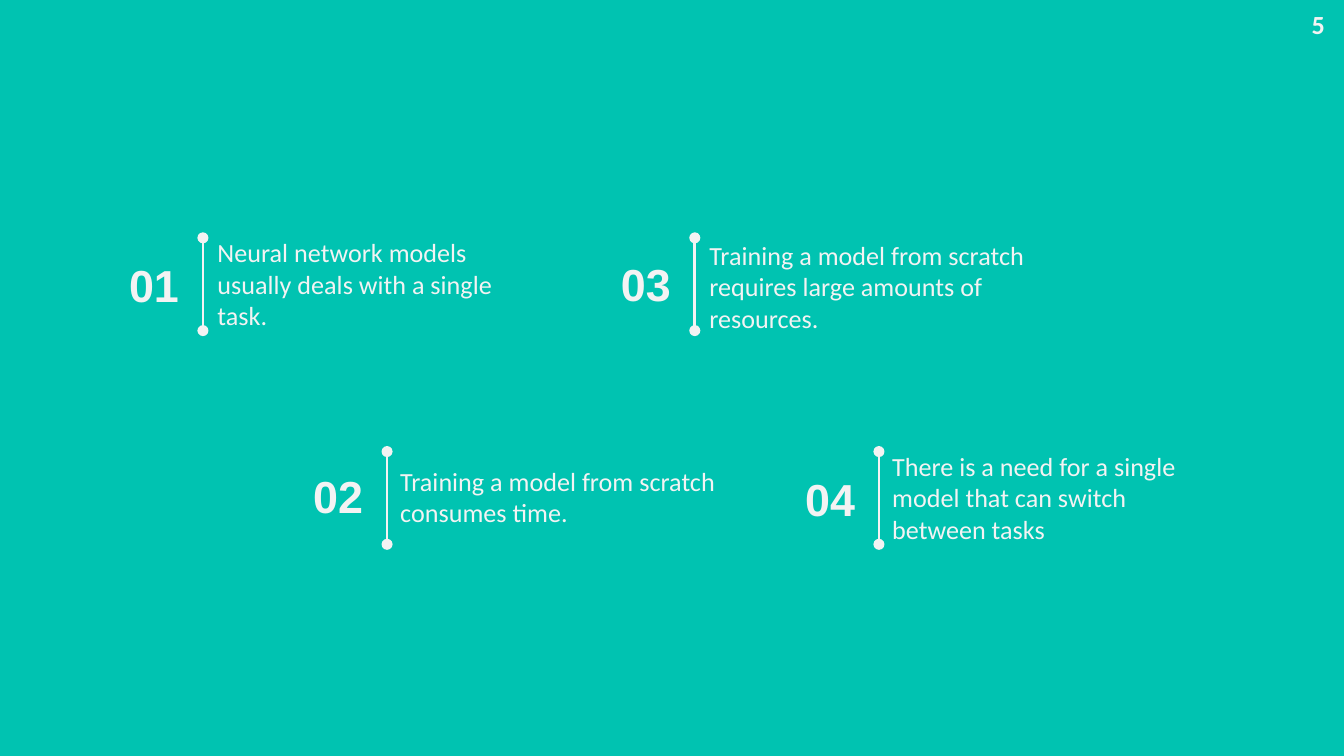
"""Build a slide of four numbered points set in two staggered rows."""
from dataclasses import dataclass

from lxml import etree
from pptx import Presentation
from pptx.dml.color import RGBColor
from pptx.enum import shapes, text
from pptx.oxml import ns
from pptx.util import Inches, Pt


@dataclass(frozen=True)
class Theme:
    back: RGBColor = RGBColor.from_string("00C3B1")
    ink: RGBColor = RGBColor.from_string("F3F3F3")
    body: str = "Calibri"
    head: str = "Arial"
    small: int = 14
    large: int = 24
    rule: float = 1.5


theme = Theme()
deck = Presentation()
deck.slide_width = Inches(10)
deck.slide_height = deck.slide_width * 9 // 16
slide = deck.slides.add_slide(deck.slide_layouts[6])
slide.background.fill.solid()
slide.background.fill.fore_color.rgb = theme.back


def write(words, x, y, w, h, font=theme.body, size=theme.small, bold=False,
          align=text.PP_ALIGN.LEFT, anchor=text.MSO_ANCHOR.TOP, pad=0.1, after=0):
    frame = slide.shapes.add_textbox(*map(Inches, (x, y, w, h))).text_frame
    frame.word_wrap = True
    frame.vertical_anchor = anchor
    frame.margin_left = frame.margin_right = Inches(0.1)
    frame.margin_top = frame.margin_bottom = Inches(pad)
    para = frame.paragraphs[0]
    para.alignment = align
    para.space_after = Pt(after)
    run = para.add_run()
    run.text = words
    run.font.name, run.font.size, run.font.bold = font, Pt(size), bold
    run.font.color.rgb = theme.ink


left, top = 1.51, 1.77
pair, shift, drop = 3.66, 1.37, 1.59
tall = 0.69

points = [
    ("Neural network models usually deals with a single task.", 0.12, -0.11, 0.71),
    ("Training a model from scratch consumes time.", 0.1, 0, 0.71),
    ("Training a model from scratch requires large amounts of resources.", 0.11, -0.09, 0.71),
    ("There is a need for a single model that can switch between tasks", 0.12, -0.11, 0.82),
]

for i, (words, rise, lift, high) in enumerate(points):
    col, row = divmod(i, 2)
    x = left + col * pair + row * shift
    y = top + row * drop
    write(words, x + 0.01 * (1 - row), y + lift, 2.56, high, after=16)
    write(f"{i + 1:02}", x - 0.74, y + rise, 0.66, 0.46, font=theme.head,
          size=theme.large, bold=True, align=text.PP_ALIGN.RIGHT,
          anchor=text.MSO_ANCHOR.MIDDLE)
    bar = slide.shapes.add_connector(
        shapes.MSO_CONNECTOR.STRAIGHT, *map(Inches, (x, y, x, y + tall)))
    bar.line.color.rgb = theme.ink
    bar.line.width = Pt(theme.rule)
    for end in ("a:headEnd", "a:tailEnd"):
        etree.SubElement(bar.line._get_or_add_ln(), ns.qn(end), type="oval")
    etree.SubElement(bar._element.spPr, ns.qn("a:effectLst"))

write("5", 9.66, 0.01, 0.28, 0.34, bold=True, pad=0.05)

deck.save("out.pptx")
